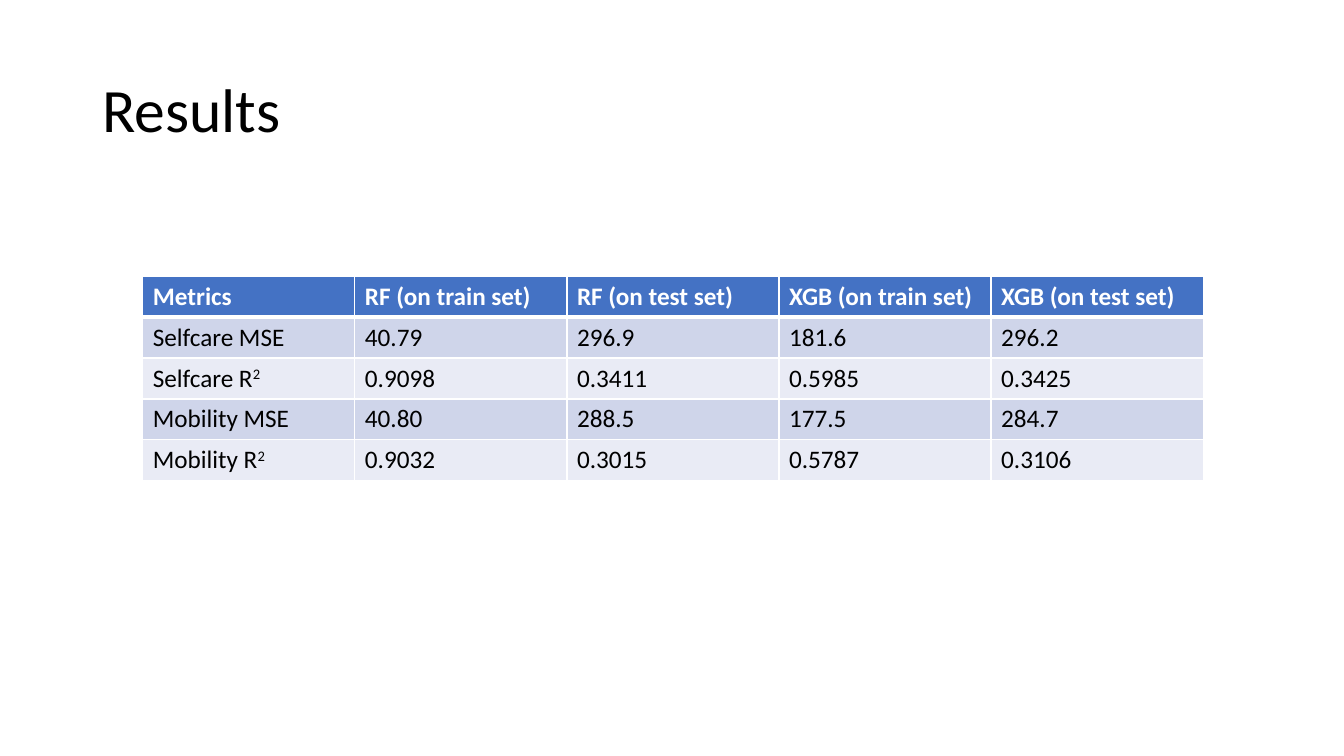
import lxml.etree
import pptx
import pptx.dml.color
import pptx.enum.text
import pptx.oxml.ns
import pptx.util

EMU_PER_PX = 9525
FONT = "Calibri"
COLORS = {
    "text": "000000",
    "header_text": "FFFFFF",
    "border": "FFFFFF",
    "header": "4472C4",
    "odd_row": "CFD5EA",
    "even_row": "E9EBF5",
}
RESULTS = [
    ["Metrics", "RF (on train set)", "RF (on test set)", "XGB (on train set)", "XGB (on test set)"],
    ["Selfcare MSE", "40.79", "296.9", "181.6", "296.2"],
    ["Selfcare R^2", "0.9098", "0.3411", "0.5985", "0.3425"],
    ["Mobility MSE", "40.80", "288.5", "177.5", "284.7"],
    ["Mobility R^2", "0.9032", "0.3015", "0.5787", "0.3106"],
]


def px(length):
    return pptx.util.Emu(length * EMU_PER_PX)


def rgb(name):
    return pptx.dml.color.RGBColor.from_string(COLORS[name])


def style_font(font, size, color, bold=False):
    font.name = FONT
    font.size = pptx.util.Pt(size)
    font.bold = bold
    font.color.rgb = rgb(color)


def add_title(page, text, left, top, width, height):
    box = page.shapes.add_textbox(px(left), px(top), px(width), px(height))
    frame = box.text_frame
    frame.word_wrap = True
    frame.vertical_anchor = pptx.enum.text.MSO_ANCHOR.MIDDLE
    para = frame.paragraphs[0]
    para.text = text
    para.line_spacing = 0.9
    style_font(para.font, 44, "text")


def add_borders(cell, widths):
    qn = pptx.oxml.ns.qn
    properties = cell._tc.get_or_add_tcPr()
    for side, width in widths.items():
        line = lxml.etree.SubElement(properties, qn(f"a:ln{side}"), w=str(pptx.util.Pt(width)))
        fill = lxml.etree.SubElement(line, qn("a:solidFill"))
        lxml.etree.SubElement(fill, qn("a:srgbClr"), val=COLORS["border"])


def fill_cell(cell, text, row_index):
    is_header = row_index == 0
    top = 3 if row_index == 1 else 1
    bottom = 3 if is_header else 1
    add_borders(cell, {"L": 1, "R": 1, "T": top, "B": bottom})
    cell.fill.solid()
    band = "odd_row" if row_index % 2 else "even_row"
    cell.fill.fore_color.rgb = rgb("header" if is_header else band)

    para = cell.text_frame.paragraphs[0]
    style_font(para.font, 18, "header_text" if is_header else "text", is_header)
    base, _, exponent = text.partition("^")
    para.add_run().text = base
    if exponent:
        span = para.add_run()
        span.text = exponent
        span._r.get_or_add_rPr().set("baseline", "30000")


def add_results_table(page, rows, left, top, width, height):
    row_count, column_count = len(rows), len(rows[0])
    frame = page.shapes.add_table(row_count, column_count, px(left), px(top), px(width), px(height))
    table = frame.table
    for column in table.columns:
        column.width = px(width // column_count)
    for row_index, values in enumerate(rows):
        table.rows[row_index].height = px(height // row_count)
        for column_index, text in enumerate(values):
            fill_cell(table.cell(row_index, column_index), text, row_index)


def main():
    deck = pptx.Presentation()
    deck.slide_width, deck.slide_height = px(1280), px(720)
    page = deck.slides.add_slide(deck.slide_layouts[6])
    add_title(page, "Results", 88, 38, 1104, 139)
    add_results_table(page, RESULTS, 136, 263, 1010, 195)
    deck.save("out.pptx")


if __name__ == "__main__":
    main()
